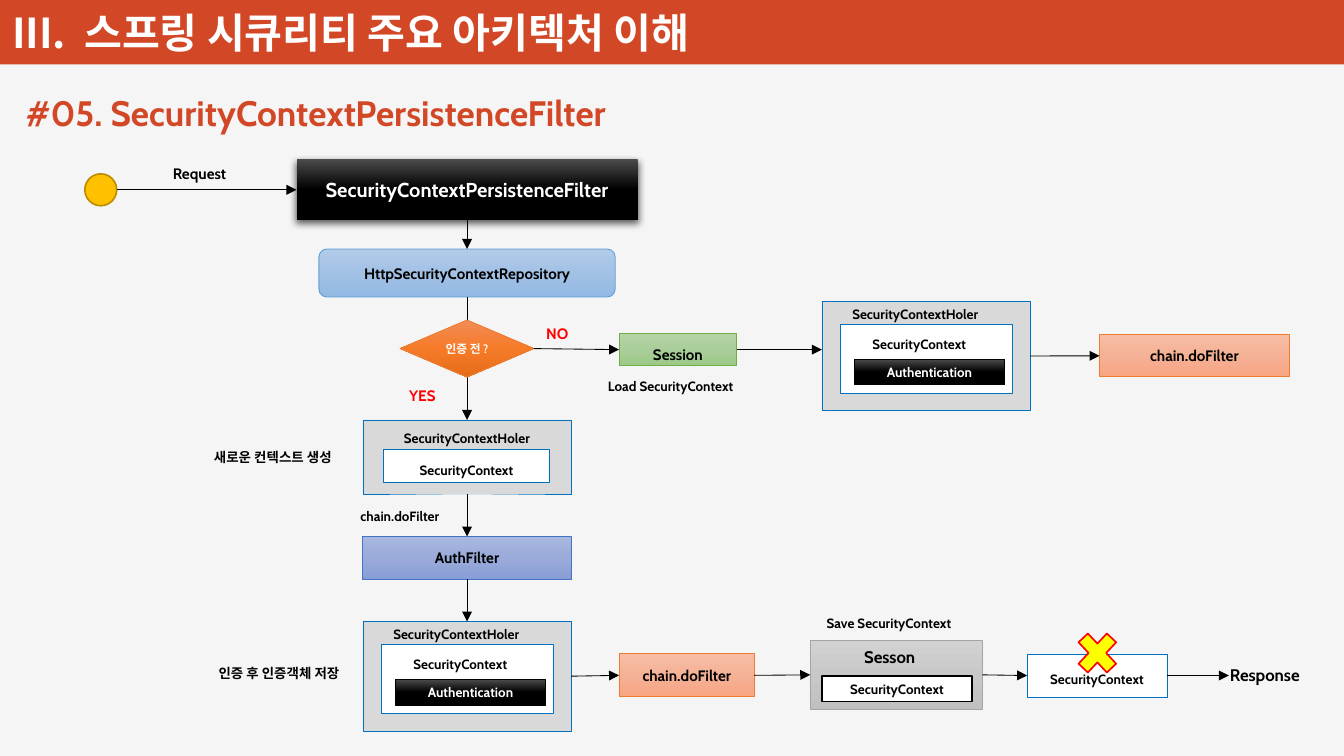
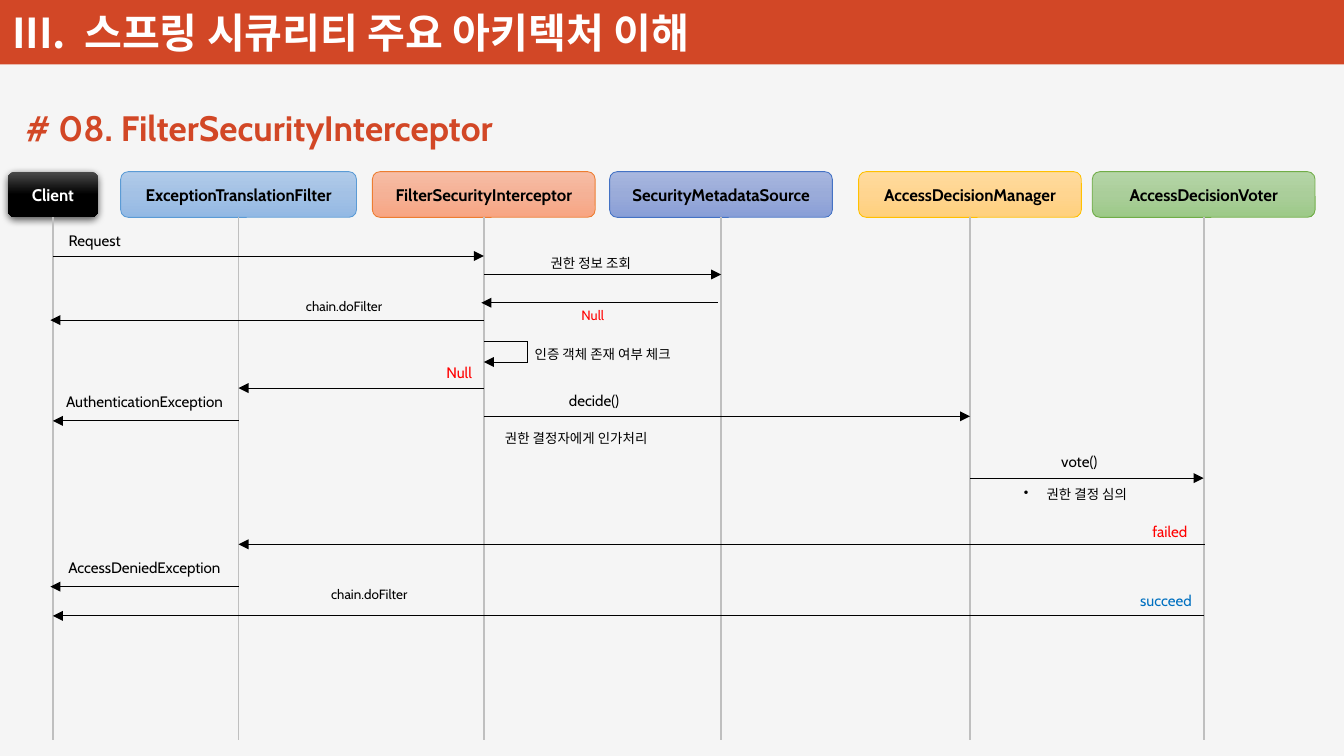
from copy import deepcopy
from dataclasses import dataclass
from typing import NamedTuple

from lxml import etree
from pptx import Presentation
from pptx.dml.color import RGBColor
from pptx.enum.shapes import MSO_CONNECTOR, MSO_SHAPE
from pptx.enum.text import MSO_ANCHOR, MSO_AUTO_SIZE, PP_ALIGN
from pptx.oxml.ns import qn
from pptx.util import Pt

RECT = MSO_SHAPE.RECTANGLE
ROUNDED = MSO_SHAPE.ROUNDED_RECTANGLE
DECISION = MSO_SHAPE.FLOWCHART_DECISION
CIRCLE = MSO_SHAPE.OVAL
CROSS = MSO_SHAPE.MATH_MULTIPLY
STRAIGHT = MSO_CONNECTOR.STRAIGHT
LEFT_ALIGNED, CENTERED = PP_ALIGN.LEFT, PP_ALIGN.CENTER
AT_TOP, AT_MIDDLE, AT_BOTTOM = MSO_ANCHOR.TOP, MSO_ANCHOR.MIDDLE, MSO_ANCHOR.BOTTOM
NO_FIT = MSO_AUTO_SIZE.NONE
TOP, LEFT, BOTTOM, RIGHT = range(4)
TITLE_ONLY = 5


class Paint(NamedTuple):
    """One fill colour, or three for a top-down gradient, and an outline."""
    fill: tuple
    line: str = ""
    width: float = 0.5
    shadow: bool = False


class Joint(NamedTuple):
    shape: object
    side: int


@dataclass(frozen=True)
class Theme:
    latin: str = "Cabin"
    korean: str = "Noto Sans CJK KR"
    chapter_size: float = 24.5
    title_size: float = 21
    main_size: float = 12
    head_size: float = 10
    text_size: float = 9
    small_size: float = 8
    tiny_size: float = 7
    page: str = "F5F5F5"
    accent: str = "D24726"
    black: str = "000000"
    white: str = "FFFFFF"
    red: str = "FF0000"
    blue: str = "0070C0"
    lifeline: str = "BFBFBF"
    band: Paint = Paint(("D24726",))
    start: Paint = Paint(("FFC000",), "BD8E00", 1)
    cross: Paint = Paint(("FFFF00",), "FF0000", 1)
    panel: Paint = Paint(("D9D9D9",), "0070C0", 0.25)
    context: Paint = Paint(("FFFFFF",), "0070C0", 0.25)
    stored: Paint = Paint(("FFFFFF",), "000000", 1)
    dark: Paint = Paint(("4B4B4B", "000000", "000000"), "000000")
    raised: Paint = Paint(("4B4B4B", "000000", "000000"), shadow=True)
    sky: Paint = Paint(("B1CBE9", "A3C1E5", "93B9E4"), "5B9BD5")
    green: Paint = Paint(("B5D5A7", "AACE9A", "9CC987"), "70AD47")
    indigo: Paint = Paint(("A8B7DF", "9AABD9", "889ED7"), "4472C4")
    salmon: Paint = Paint(("F7BDA5", "F5B196", "F8A582"), "ED7D31")
    orange: Paint = Paint(("F18C57", "F67B28", "E56C19"), "ED7D31")
    yellow: Paint = Paint(("FFDB9E", "FFD590", "FFD07C"), "FFC000")
    gray: Paint = Paint(("D2D2D2", "C8C8C8", "C0C0C0"), "A5A5A5")


THEME = Theme()


def rgb(color):
    return RGBColor.from_string(color)


def points(*lengths):
    return [Pt(length) for length in lengths]


def write(frame, text, size, color, bold=True, align=LEFT_ALIGNED, spacing=None,
          latin=THEME.latin):
    para = frame.paragraphs[0]
    para.text = text
    para.alignment = align
    if spacing:
        para.line_spacing = spacing
    font = para.font
    font.size, font.bold = Pt(size), bold
    font.color.rgb = rgb(color)
    font.name = latin
    defaults = para._p.pPr.find(qn("a:defRPr"))
    etree.SubElement(defaults, qn("a:ea"), typeface=THEME.korean)
    return para


def hang(para, indent, bullet=""):
    """Set a hanging indent, with a bullet if one is given."""
    properties = para._p.get_or_add_pPr()
    properties.set("marL", str(Pt(indent)))
    properties.set("indent", str(-Pt(indent)))
    if bullet:
        mark = etree.Element(qn("a:buChar"), char=bullet)
        properties.insert(0, mark)


def apply_paint(shape, paint):
    fill = shape.fill
    if len(paint.fill) == 1:
        fill.solid()
        fill.fore_color.rgb = rgb(paint.fill[0])
    else:
        fill.gradient()
        fill.gradient_angle = 270
        stop_list = shape.element.spPr.find(".//" + qn("a:gsLst"))
        stop_list.insert(1, deepcopy(stop_list[0]))
        for stop, position, color in zip(fill.gradient_stops, (0, 0.5, 1), paint.fill):
            stop.position = position
            stop.color.rgb = rgb(color)
    if paint.line:
        shape.line.color.rgb = rgb(paint.line)
        shape.line.width = Pt(paint.width)
    else:
        shape.line.fill.background()
    shape.shadow.inherit = False
    if paint.shadow:
        effects = shape.element.spPr.find(qn("a:effectLst"))
        shadow = etree.SubElement(effects, qn("a:outerShdw"), blurRad=str(Pt(4.5)),
                                  dist=str(Pt(1.5)), dir="5400000", rotWithShape="0")
        color = etree.SubElement(shadow, qn("a:srgbClr"), val=THEME.black)
        etree.SubElement(color, qn("a:alpha"), val="63000")


def add_box(slide, bounds, paint, text="", size=THEME.text_size, color=THEME.black,
            preset=RECT, spacing=None):
    box = slide.shapes.add_shape(preset, *points(*bounds))
    apply_paint(box, paint)
    if text:
        frame = box.text_frame
        frame.word_wrap = False
        frame.vertical_anchor = AT_MIDDLE
        write(frame, text, size, color, align=CENTERED, spacing=spacing)
    return box


def add_label(slide, bounds, text, size=THEME.text_size, color=THEME.black, bold=True,
              spacing=None):
    label = slide.shapes.add_textbox(*points(*bounds, 2 * size))
    label.text_frame.word_wrap = True
    return write(label.text_frame, text, size, color, bold, spacing=spacing)


def add_link(slide, begin, end, color=THEME.black, width=0.5, arrow=True):
    """Draw a line; each end is a Joint or an (x, y) point."""
    ends = [(0, 0) if isinstance(node, Joint) else node for node in (begin, end)]
    link = slide.shapes.add_connector(STRAIGHT, *points(*ends[0], *ends[1]))
    for node, connect in ((begin, link.begin_connect), (end, link.end_connect)):
        if isinstance(node, Joint):
            connect(node.shape, node.side)
    link.line.color.rgb = rgb(color)
    link.line.width = Pt(width)
    properties = link.element.spPr
    if arrow:
        etree.SubElement(properties.find(qn("a:ln")), qn("a:tailEnd"), type="triangle")
    etree.SubElement(properties, qn("a:effectLst"))


def set_title(slide, text, top):
    title = slide.shapes.title
    title.left, title.top, title.width, title.height = points(8, top, 420, 32.4)
    frame = title.text_frame
    frame.auto_size = NO_FIT
    frame.vertical_anchor = AT_TOP
    write(frame, text, THEME.title_size, THEME.accent)


def move_to_layout(slide, *shapes):
    for shape in shapes:
        slide.slide_layout.shapes.element.append(shape.element)


def add_chapter_band(deck, slide):
    """Give the slide's layout the page colour and the chapter band."""
    background = deck.slide_master.background.fill
    background.solid()
    background.fore_color.rgb = rgb(THEME.page)
    band = add_box(slide, (0, 0, 800, 38.4), THEME.band)
    chapter = slide.shapes.add_textbox(*points(0.7, -7.2, 484, 44))
    frame = chapter.text_frame
    frame.word_wrap = True
    frame.vertical_anchor = AT_BOTTOM
    frame.margin_left = frame.margin_right = Pt(6.5)
    frame.margin_top = frame.margin_bottom = Pt(3)
    para = write(frame, "III.\t스프링 시큐리티 주요 아키텍처 이해", THEME.chapter_size,
                 THEME.white, latin=THEME.korean)
    hang(para, 43)
    move_to_layout(slide, band, chapter)


def add_holder(slide, left, top):
    """Draw a context holder with its context and authentication inside."""
    small = THEME.small_size
    holder = add_box(slide, (left, top, 124, 65), THEME.panel)
    add_box(slide, (left + 11, top + 13.7, 102.4, 41), THEME.context)
    add_label(slide, (left + 11, top - 0.7, 110), "SecurityContextHoler", small)
    add_box(slide, (left + 19.5, top + 34.6, 89.3, 15.1), THEME.dark, "Authentication",
            small, THEME.white)
    add_label(slide, (left + 23, top + 17.3, 84), "SecurityContext", small)
    return holder


def draw_persistence_flow(slide):
    small = THEME.small_size
    add_box(slide, (50.5, 103.5, 19, 19), THEME.start, preset=CIRCLE)
    entry = add_box(slide, (176.5, 94.8, 203, 36.4), THEME.raised,
                    "SecurityContextPersistenceFilter", THEME.main_size, THEME.white)
    repository = add_box(slide, (189.8, 148.2, 176.4, 28.6), THEME.sky,
                         "HttpSecurityContextRepository", preset=ROUNDED)
    new_holder = add_box(slide, (216, 250, 124, 44), THEME.panel,
                         "SecurityContextHoler", small)
    new_holder.text_frame.vertical_anchor = AT_TOP
    new_holder.text_frame.margin_top = Pt(6)
    add_box(slide, (228.2, 267.6, 99, 19.5), THEME.context, "SecurityContext", small,
            spacing=1.5)
    auth_filter = add_box(slide, (216, 319.4, 124, 25.4), THEME.indigo, "AuthFilter")
    saved_holder = add_holder(slide, 216, 370)
    session = add_box(slide, (368.5, 198.5, 70, 19.2), THEME.green, "Session", spacing=1.5)
    loaded_holder = add_holder(slide, 489.2, 179.4)
    loaded_chain = add_box(slide, (654.5, 199.2, 113, 25.2), THEME.salmon, "chain.doFilter")
    saved_chain = add_box(slide, (368.5, 389.2, 80.6, 25.6), THEME.salmon, "chain.doFilter")
    saved_session = add_box(slide, (482.3, 381.2, 102.4, 41), THEME.gray)
    add_box(slide, (489.2, 402.4, 89.5, 15.2), THEME.stored, "SecurityContext", small)
    cleared = add_box(slide, (611.4, 389.4, 83.2, 25.4), THEME.context, "SecurityContext",
                      small, spacing=1.5)
    add_box(slide, (637, 371.4, 32.4, 34.6), THEME.cross, preset=CROSS)

    add_link(slide, (69.5, 113), Joint(entry, LEFT))
    add_link(slide, Joint(repository, BOTTOM), Joint(new_holder, TOP))
    decision = add_box(slide, (238.2, 190.5, 79.6, 34), THEME.orange, "인증 전 ?",
                       THEME.tiny_size, THEME.white, DECISION)
    for upper, lower in ((entry, repository), (new_holder, auth_filter),
                         (auth_filter, saved_holder)):
        add_link(slide, Joint(upper, BOTTOM), Joint(lower, TOP))
    for before, after in ((decision, session), (loaded_holder, loaded_chain),
                          (saved_holder, saved_chain), (saved_chain, saved_session),
                          (saved_session, cleared)):
        add_link(slide, Joint(before, RIGHT), Joint(after, LEFT))
    add_link(slide, Joint(session, RIGHT), (489.2, 208.1))
    add_link(slide, Joint(cleared, RIGHT), (731.5, 402.1))

    add_label(slide, (95.8, 94.3, 52), "Request")
    add_label(slide, (236.5, 226.2, 34), "YES", color=THEME.red)
    add_label(slide, (318, 189.5, 34), "NO", color=THEME.red)
    add_label(slide, (120.3, 263.5, 100), "새로운 컨텍스트 생성", small)
    add_label(slide, (123, 387.4, 101), "인증 후 인증객체 저장", small, spacing=1.5)
    add_label(slide, (354.8, 221.8, 100), "Load SecurityContext", small)
    add_label(slide, (485, 362.8, 100), "Save SecurityContext", small)
    add_label(slide, (207.4, 298.9, 70), "chain.doFilter", small)
    add_label(slide, (507.3, 381.6, 52), "Sesson", THEME.head_size)
    add_label(slide, (725, 392.2, 66), "Response", THEME.head_size)


def draw_interceptor_sequence(slide):
    client, translator, interceptor, metadata, manager, voter = (
        31.5, 142, 288, 429.2, 577.4, 716.5)
    participants = (
        (client, 54, THEME.raised, "Client"),
        (translator, 140.4, THEME.sky, "ExceptionTranslationFilter"),
        (interceptor, 132.6, THEME.salmon, "FilterSecurityInterceptor"),
        (metadata, 132.6, THEME.indigo, "SecurityMetadataSource"),
        (manager, 132.6, THEME.yellow, "AccessDecisionManager"),
        (voter, 132.6, THEME.green, "AccessDecisionVoter"),
    )
    for center, width, paint, name in participants:
        color = THEME.white if paint.shadow else THEME.black
        head = add_box(slide, (center - width / 2, 102.2, width, 27.2), paint, name,
                       THEME.head_size, color, ROUNDED)
        add_link(slide, Joint(head, BOTTOM), (center, 440.6), THEME.lifeline, 1, False)

    messages = (
        (client, interceptor, 152.4), (interceptor, metadata, 163.4),
        (metadata - 2, interceptor - 1.5, 180.2), (interceptor, client - 1.5, 190.6),
        (interceptor, translator, 231), (translator, client, 250.5),
        (interceptor, manager, 247.8), (manager, voter, 284.6),
        (voter + 0.6, translator, 324), (translator, client - 1.5, 349.2),
        (voter, client, 366.6),
    )
    for begin, end, y in messages:
        add_link(slide, (begin, y), (end, y))
    loop_right, loop_top, loop_bottom = 314, 203.2, 215.5
    add_link(slide, (interceptor, loop_top), (loop_right, loop_top), arrow=False)
    add_link(slide, (loop_right, loop_top), (loop_right, loop_bottom), arrow=False)
    add_link(slide, (loop_right, loop_bottom), (interceptor, loop_bottom))

    labels = (
        (33.8, 134.2, 52, "Request", THEME.black),
        (331.6, 229.4, 52, "decide()", THEME.black),
        (624.6, 265.8, 42, "vote()", THEME.black),
        (258.6, 212.6, 36, "Null", THEME.red),
        (32.2, 230.2, 118, "AuthenticationException", THEME.black),
        (678.8, 307.4, 42, "failed", THEME.red),
        (33.6, 328.8, 114, "AccessDeniedException", THEME.black),
        (671.6, 348.6, 52, "succeed", THEME.blue),
    )
    for left, top, width, text, color in labels:
        add_label(slide, (left, top, width), text, color=color, bold=False)
    notes = (
        (293.5, 252.5, 130, "권한 결정자에게 인가처리", THEME.black),
        (320.6, 148.3, 70, "권한 정보 조회", THEME.black),
        (311.2, 202.3, 114, "인증 객체 존재 여부 체크", THEME.black),
        (175, 173.8, 70, "chain.doFilter", THEME.black),
        (190, 345.4, 70, "chain.doFilter", THEME.black),
        (339, 179.2, 36, "Null", THEME.red),
    )
    for left, top, width, text, color in notes:
        add_label(slide, (left, top, width), text, THEME.small_size, color, False)
    vote_note = add_label(slide, (602.4, 285.8, 90), "권한 결정 심의", THEME.small_size,
                          bold=False)
    hang(vote_note, 13.5, "•")


def main():
    deck = Presentation()
    deck.slide_width, deck.slide_height = points(800, 450)
    pages = (
        ("#05. SecurityContextPersistenceFilter", 50.6, draw_persistence_flow),
        ("# 08. FilterSecurityInterceptor", 59.6, draw_interceptor_sequence),
    )
    for title, top, draw in pages:
        slide = deck.slides.add_slide(deck.slide_layouts[TITLE_ONLY])
        set_title(slide, title, top)
        draw(slide)
    add_chapter_band(deck, deck.slides[0])
    deck.save("out.pptx")


if __name__ == "__main__":
    main()
